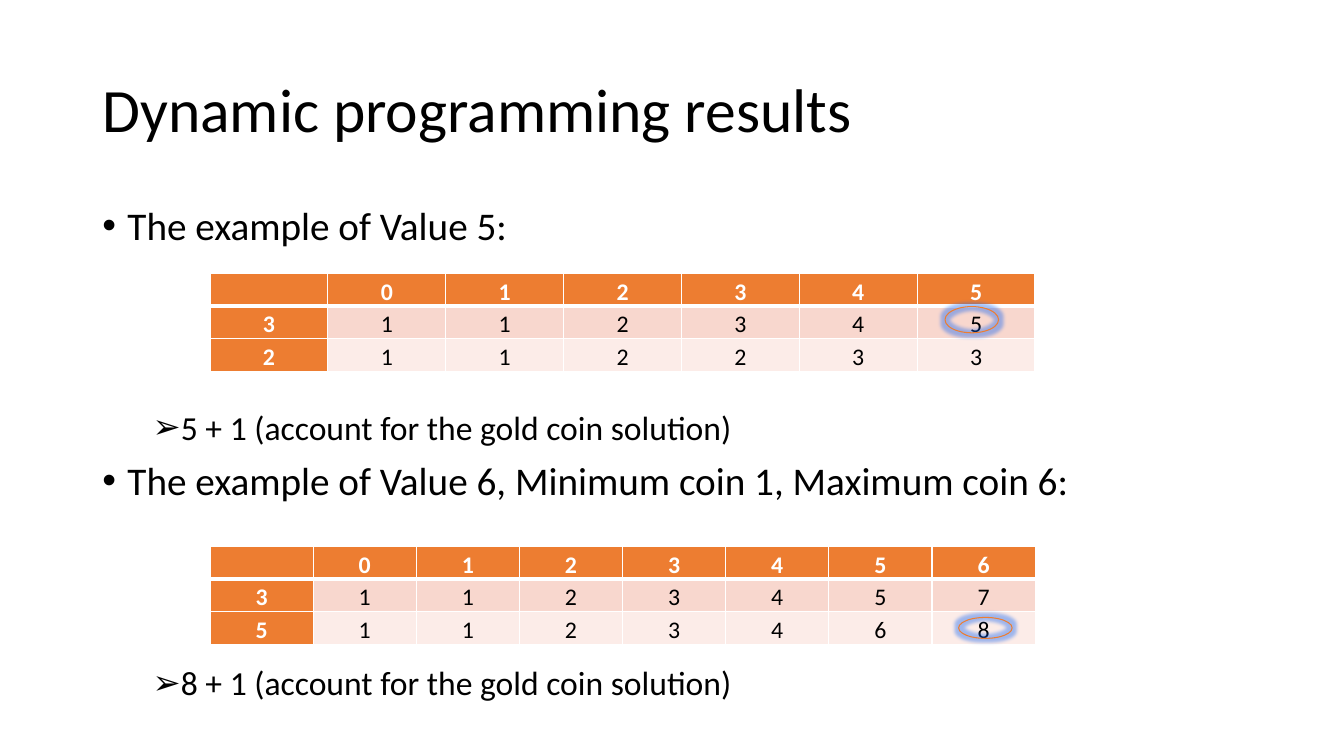
import pptx
import pptx.util
import pptx.dml.color
import pptx.enum.shapes
import pptx.enum.text
import pptx.oxml
import pptx.oxml.ns

PX = 9525
FONT = "Calibri"
HUES = {"text": "000000", "white": "FFFFFF", "head": "ED7D31",
        "odd": "F8D7CE", "even": "FCECE8", "glow": "4472C4"}
NS = pptx.oxml.ns.nsdecls("a")


def style(para, size, hue, bold=False):
    for run in para.runs:
        run.font.size = pptx.util.Pt(size)
        run.font.name = FONT
        run.font.bold = bold
        run.font.color.rgb = pptx.dml.color.RGBColor.from_string(HUES[hue])


def add_box(left, top, width, height):
    box = slide.shapes.add_textbox(left * PX, top * PX, width * PX, height * PX)
    box.text_frame.word_wrap = True
    return box.text_frame


deck = pptx.Presentation()
deck.slide_width = 1280 * PX
deck.slide_height = 720 * PX
slide = deck.slides.add_slide(deck.slide_layouts[6])

title = add_box(88, 38, 1104, 139)
title.vertical_anchor = pptx.enum.text.MSO_ANCHOR.MIDDLE
title.text = "Dynamic programming results"
title.paragraphs[0].line_spacing = 0.9
style(title.paragraphs[0], 44, "text")

points = [
    (0, 0, "The example of Value 5:"),
    (1, 116, "5 + 1 (account for the gold coin solution)"),
    (0, 10, "The example of Value 6, Minimum coin 1, Maximum coin 6:"),
    (1, 116, "8 + 1 (account for the gold coin solution)"),
]
body = add_box(88, 192, 1104, 490)
for num, (level, gap, text) in enumerate(points):
    para = body.add_paragraph() if num else body.paragraphs[0]
    para.text = text
    para.level = level
    para.line_spacing = 0.9
    para.space_before = pptx.util.Pt(gap)
    style(para, (28, 24)[level], "text")
    props = para._p.get_or_add_pPr()
    props.set("marL", str((24 + 48 * level) * PX))
    props.set("indent", str(-24 * PX))
    props.append(pptx.oxml.parse_xml(f'<a:buFont {NS} typeface="Arial"/>'))
    props.append(pptx.oxml.parse_xml(f'<a:buChar {NS} char="{"•➢"[level]}"/>'))

grids = [
    (260, [["", "0", "1", "2", "3", "4", "5"],
           ["3", "1", "1", "2", "3", "4", "5"],
           ["2", "1", "1", "2", "2", "3", "3"]], (900, 292, 51, 25)),
    (520, [["", "0", "1", "2", "3", "4", "5", "6"],
           ["3", "1", "1", "2", "3", "4", "5", "7"],
           ["5", "1", "1", "2", "3", "4", "6", "8"]], (913, 588, 51, 20)),
]
for top, rows, ring in grids:
    count = len(rows[0])
    table = slide.shapes.add_table(
        len(rows), count, 200 * PX, top * PX, 786 * PX, 88 * PX).table
    for col in table.columns:
        col.width = 786 * PX // count
    for r, row in enumerate(rows):
        for c, text in enumerate(row):
            head = r == 0 or c == 0
            cell = table.cell(r, c)
            cell.margin_left = cell.margin_right = 7 * PX
            cell.margin_top = cell.margin_bottom = 0
            cell.vertical_anchor = pptx.enum.text.MSO_ANCHOR.MIDDLE
            cell.text_frame.text = text
            para = cell.text_frame.paragraphs[0]
            para.alignment = pptx.enum.text.PP_ALIGN.CENTER
            para.line_spacing = 1.15
            style(para, 17, "white" if head else "text", head)
            props = cell._tc.get_or_add_tcPr()
            for side in "LRTB":
                thick = (r, side) in ((0, "B"), (1, "T"))
                props.append(pptx.oxml.parse_xml(
                    f'<a:ln{side} {NS} w="{38100 if thick else 12700}"><a:solidFill>'
                    f'<a:srgbClr val="{HUES["white"]}"/></a:solidFill></a:ln{side}>'))
            hue = "head" if head else ("even", "odd")[r % 2]
            cell.fill.solid()
            cell.fill.fore_color.rgb = pptx.dml.color.RGBColor.from_string(HUES[hue])

    oval = slide.shapes.add_shape(
        pptx.enum.shapes.MSO_SHAPE.OVAL, *(side * PX for side in ring))
    oval.fill.background()
    oval.line.color.rgb = pptx.dml.color.RGBColor.from_string(HUES["head"])
    oval.line.width = pptx.util.Pt(0.75)
    oval.shadow.inherit = False
    effects = oval._element.spPr.find(pptx.oxml.ns.qn("a:effectLst"))
    effects.append(pptx.oxml.parse_xml(
        f'<a:glow {NS} rad="63500"><a:srgbClr val="{HUES["glow"]}">'
        '<a:satMod val="175000"/><a:alpha val="40000"/></a:srgbClr></a:glow>'))

deck.save("out.pptx")
